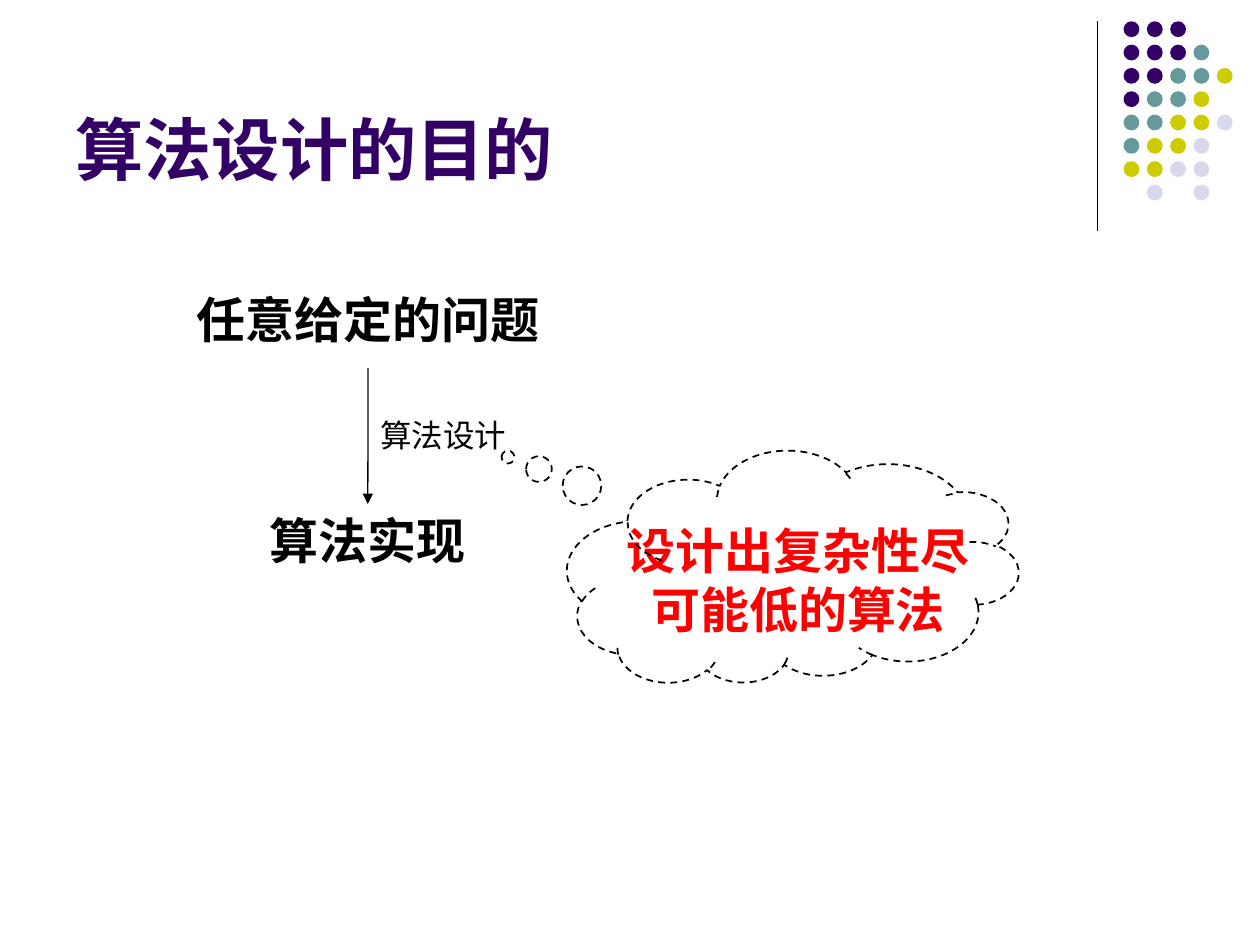
"""Build the slide on the purpose of algorithm design."""
from pptx import Presentation as Deck
from pptx.dml.color import RGBColor as Rgb
from pptx.enum.dml import MSO_LINE as Dash
from pptx.enum.shapes import MSO_CONNECTOR as Conn, MSO_SHAPE as Kind
from pptx.enum.text import MSO_ANCHOR as Anchor, MSO_AUTO_SIZE as Fit, PP_ALIGN as Align
from pptx.oxml.ns import qn
from pptx.util import Cm, Pt
from lxml.etree import SubElement as Sub

DOTS = ["PPP", "PPPT", "PPTTY", "PTTY", "TTYYL", "TYYL", "YYLL", " L L"]
HUES = {"P": "330066", "T": "669999", "Y": "CCCC00", "L": "D8D8EC"}
LEFT, TOP, STEP, SIZE = 22.65, 0.43, 0.47, 0.32

BIG = {"size": Pt(28), "bold": True}
TEXTS = {
    "title": ("算法设计的目的", (1.27, 0.33, 20.96, 3.6), "330066",
              {"size": Pt(39), "bold": True}, Align.LEFT, Anchor.BOTTOM),
    "task": ("任意给定的问题", (3.39, 5.72, 8.05, 1.45), "000000", BIG, Align.CENTER, Anchor.TOP),
    "step": ("算法设计", (7.42, 8.26, 3.61, 1.02), "000000",
             {"size": Pt(18), "bold": False}, Align.LEFT, Anchor.TOP),
    "code": ("算法实现", (3.39, 10.16, 8.05, 1.45), "000000", BIG, Align.CENTER, Anchor.TOP),
    "goal": ("设计出复杂性尽可能低的算法", (12.28, 10.37, 7.62, 2.62), "FF0000",
             BIG, Align.CENTER, Anchor.TOP),
}
RULE = (22.12, 0.43, 22.12, 4.65)
ARROW = (7.42, 7.42, 7.42, 10.16)
CLOUD = (11.43, 9.1, 9.1, 4.67)


def hue(code):
    return Rgb.from_string(code)


def put(obj, form):
    for key, val in form.items():
        setattr(obj, key, val)


def shape(kind, spot, fill=None):
    item = page.add_shape(kind, *map(Cm, spot))
    item.shadow.inherit = False
    item.line.fill.background()
    if fill:
        item.fill.solid()
        item.fill.fore_color.rgb = hue(fill)
    else:
        item.fill.background()
    return item


def line(ends):
    item = page.add_connector(Conn.STRAIGHT, *map(Cm, ends))
    item.line.color.rgb = hue("000000")
    item.line.width = Pt(0.75)
    Sub(item._element.spPr, qn("a:effectLst"))
    return item


def write(name):
    words, spot, tint, form, align, anchor = TEXTS[name]
    if name == "goal":
        item = shape(Kind.RECTANGLE, spot, "FFFFFF")
    else:
        item = page.add_textbox(*map(Cm, spot))
    frame = item.text_frame
    fit = Fit.NONE if name == "title" else Fit.SHAPE_TO_FIT_TEXT
    put(frame, {"word_wrap": True, "auto_size": fit, "vertical_anchor": anchor})
    para = frame.paragraphs[0]
    para.alignment = align
    run = para.add_run()
    run.text = words
    put(run.font, {"name": "Arial", **form})
    run.font.color.rgb = hue(tint)
    return item


deck = Deck()
put(deck, {"slide_width": Cm(25.4), "slide_height": Cm(19.05)})
page = deck.slides.add_slide(deck.slide_layouts[6]).shapes

line(RULE)
for row, marks in enumerate(DOTS):
    for col, mark in enumerate(marks):
        if mark in HUES:
            shape(Kind.OVAL, (LEFT + col * STEP, TOP + row * STEP, SIZE, SIZE), HUES[mark])

boxes = {name: write(name) for name in TEXTS}

arrow = line(ARROW)
arrow.end_connect(boxes["code"], 0)
Sub(arrow.line._get_or_add_ln(), qn("a:tailEnd"), type="triangle")

cloud = shape(Kind.CLOUD_CALLOUT, CLOUD)
cloud.rotation = 179.8
cloud.adjustments[0], cloud.adjustments[1] = 0.63, 0.48
cloud.line.color.rgb = hue("000000")
put(cloud.line, {"width": Pt(1), "dash_style": Dash.DASH})

deck.save("out.pptx")
